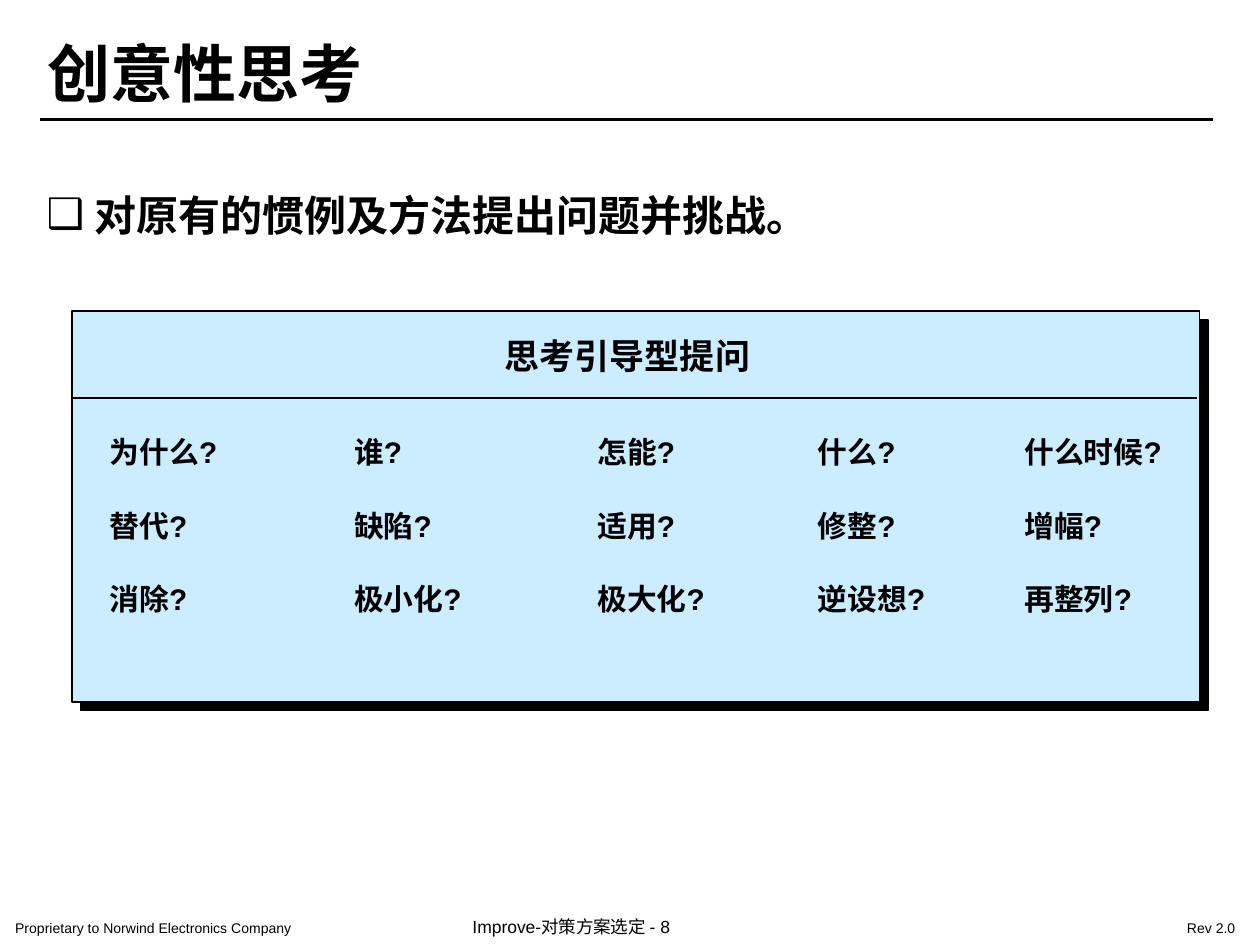
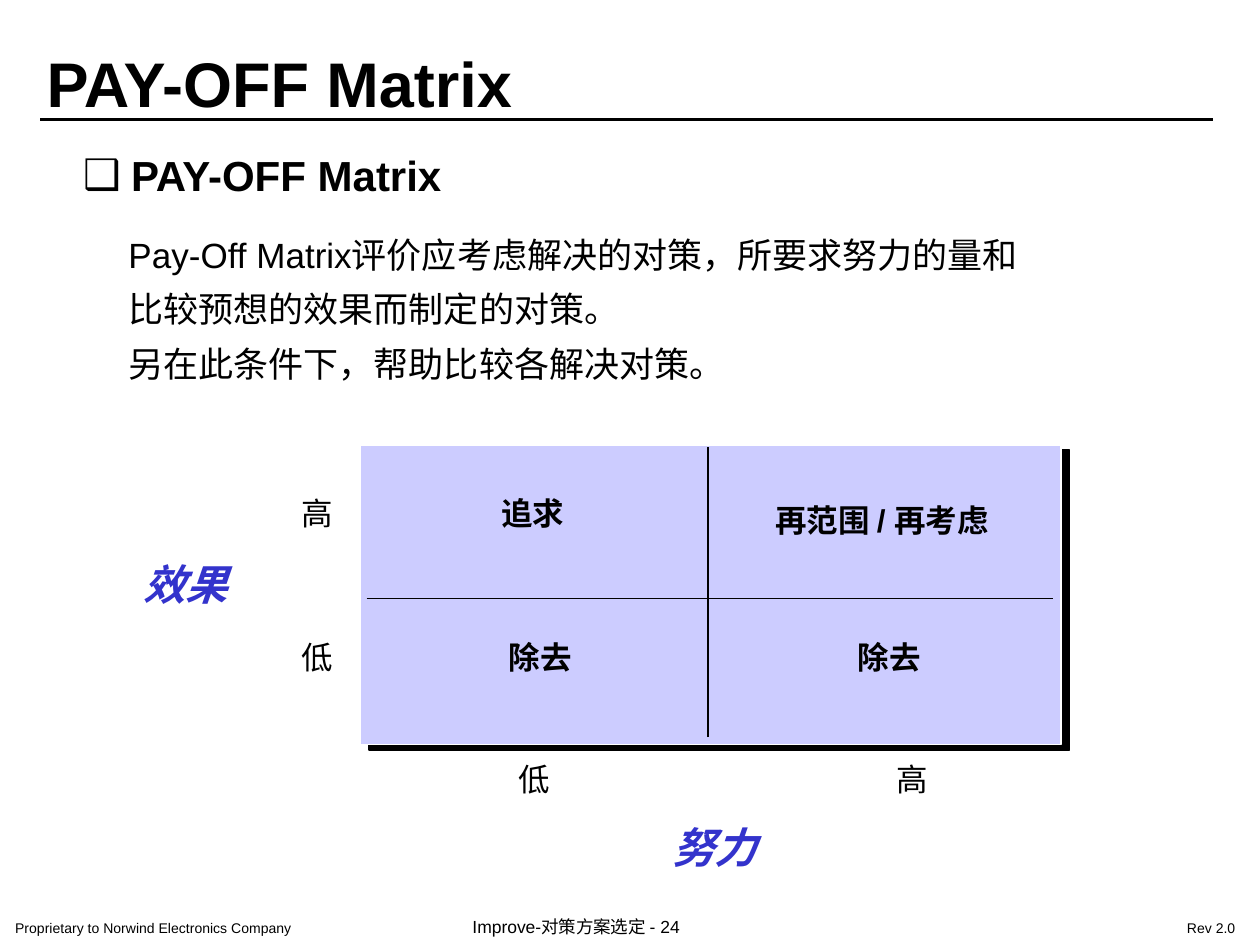
from lxml import etree
from pptx import Presentation
from pptx.dml.color import RGBColor
from pptx.enum.lang import MSO_LANGUAGE_ID as Language
from pptx.enum.shapes import MSO_CONNECTOR as Connector, MSO_SHAPE as Shape
from pptx.enum.text import MSO_ANCHOR as Anchor, MSO_AUTO_SIZE as AutoSize, PP_ALIGN as Align
from pptx.oxml.ns import qn
from pptx.util import Inches, Pt

FONT = "Arial"
BLACK, WHITE, BLUE = "000000", "FFFFFF", "3333CC"
SKY, LAVENDER = "CCECFF", "CCCCFF"
WIDTH, HEIGHT = Inches(10), Inches(7.5)
COLUMNS, ROWS = 100, 75  # page grid
TITLE_AND_CONTENT = 1
ROOMY, SNUG = (0.1, 0.05), (0.05, 0.02)  # side and top insets, inches


def color(hex_string):
    return RGBColor.from_string(hex_string)


def across(columns):
    return round(WIDTH * columns / COLUMNS)


def down(rows):
    return round(HEIGHT * rows / ROWS)


def area(left, top, width, height):
    return across(left), down(top), across(width), down(height)


# Text
def write(shape, text, size=18, hue=BLACK, bold=False, italic=False, align=Align.LEFT,
          anchor=Anchor.TOP, insets=ROOMY, wrap=True, spacing=1.0, tabs=(), bullet=None):
    frame = shape.text_frame
    frame.word_wrap = wrap
    frame.auto_size = AutoSize.NONE
    frame.vertical_anchor = anchor
    frame.margin_left = frame.margin_right = Inches(insets[0])
    frame.margin_top = frame.margin_bottom = Inches(insets[1])
    for index, line in enumerate(text.split("\n")):
        paragraph = frame.add_paragraph() if index else frame.paragraphs[0]
        paragraph.alignment = align
        paragraph.line_spacing = spacing
        paragraph.space_before = Pt(0)
        if bullet:
            add_bullet(paragraph, bullet)
        if tabs:
            add_tabs(paragraph, tabs)
        run = paragraph.add_run()
        run.text = line
        font = run.font
        font.name, font.size, font.bold, font.italic = FONT, Pt(size), bold, italic
        font.color.rgb = color(hue)
        font.language_id = Language.SIMPLIFIED_CHINESE


def add_bullet(paragraph, character, hang=3.8):
    properties = paragraph._p.get_or_add_pPr()
    properties.set("marL", str(across(hang)))
    properties.set("indent", str(-across(hang)))
    etree.SubElement(properties, qn("a:buFont"), typeface=FONT)
    etree.SubElement(properties, qn("a:buChar"), char=character)


def add_tabs(paragraph, stops):
    tab_list = etree.SubElement(paragraph._p.get_or_add_pPr(), qn("a:tabLst"))
    for stop in stops:
        etree.SubElement(tab_list, qn("a:tab"), pos=str(across(stop)), algn="l")


def add_text(slide, text, box, **style):
    write(slide.shapes.add_textbox(*area(*box)), text, **style)


def fill_placeholder(placeholder, text, box, **style):
    placeholder.left, placeholder.top, placeholder.width, placeholder.height = area(*box)
    write(placeholder, text, bold=True, **style)


# Lines and panels
def add_line(slide, start, end, weight):
    line = slide.shapes.add_connector(Connector.STRAIGHT, across(start[0]), down(start[1]),
                                      across(end[0]), down(end[1]))
    line.line.color.rgb = color(BLACK)
    line.line.width = Pt(weight)
    etree.SubElement(line._element.spPr, qn("a:effectLst"))


def add_panel(slide, box, fill, outline, distance, angle):
    panel = slide.shapes.add_shape(Shape.RECTANGLE, *area(*box))
    panel.fill.solid()
    panel.fill.fore_color.rgb = color(fill)
    panel.line.color.rgb = color(outline)
    panel.line.width = Pt(1)
    panel.shadow.inherit = False
    effects = panel._element.spPr.find(qn("a:effectLst"))
    shadow = etree.SubElement(effects, qn("a:outerShdw"), dist=str(Pt(distance)),
                              dir=str(angle * 60000), algn="ctr", rotWithShape="0")
    etree.SubElement(shadow, qn("a:srgbClr"), val=BLACK)


# Shared page: title, rule, heading and footers
def add_page(presentation, number, title, title_box, heading, heading_box, **heading_style):
    slide = presentation.slides.add_slide(presentation.slide_layouts[TITLE_AND_CONTENT])
    fill_placeholder(slide.shapes.title, title, title_box, size=36, anchor=Anchor.MIDDLE)
    fill_placeholder(slide.placeholders[1], heading, heading_box, size=24, bullet="❑",
                     **heading_style)
    add_line(slide, (3.2, 9.5), (96.3, 9.5), 1.5)
    footers = [
        ("Proprietary to Norwind Electronics Company", (0, 72.4, 32.1, 2.5), 8),
        (f"Improve-对策方案选定 - {number}", (36.3, 72.1, 24.4, 2.9), 10),
        ("Rev 2.0", (93, 72.4, 6.8, 2.5), 8),
    ]
    for text, box, size in footers:
        add_text(slide, text, box, size=size, insets=(0.12, 0.06))
    return slide


def add_creative_thinking(presentation):
    slide = add_page(presentation, 8, "创意性思考", (2.8, 2.4, 55, 6.6),
                     "对原有的惯例及方法提出问题并挑战。", (3.6, 13.9, 85.9, 5),
                     insets=(0.01, 0.01), spacing=1.25)
    add_panel(slide, (5.7, 24.7, 89.5, 31), SKY, BLACK, 7.1, 45)
    add_text(slide, "思考引导型提问", (27, 25.3, 45.6, 6.5), size=20, bold=True,
             align=Align.CENTER, anchor=Anchor.MIDDLE, insets=(0, 0.2), spacing=0.75)
    add_line(slide, (5.8, 31.6), (95, 31.6), 0.75)
    questions = [
        ("为什么?", "谁?", "怎能?", "什么?", "什么时候?"),
        ("替代?", "缺陷?", "适用?", "修整?", "增幅?"),
        ("消除?", "极小化?", "极大化?", "逆设想?", "再整列?"),
    ]
    add_text(slide, "\n".join("\t".join(row) for row in questions), (7.8, 31, 88, 18.4),
             size=17, bold=True, insets=(0.09, 0.05), spacing=2.05,
             tabs=(19.4, 38.7, 56.2, 72.6))


def add_payoff_matrix(presentation):
    slide = add_page(presentation, 24, "PAY-OFF Matrix", (2.7, 2.7, 92.5, 7.6),
                     "PAY-OFF Matrix", (5.6, 11.4, 36, 6.1))
    add_text(slide, "Pay-Off Matrix评价应考虑解决的对策，所要求努力的量和\n"
                    "比较预想的效果而制定的对策。\n"
                    "另在此条件下，帮助比较各解决对策。",
             (9.3, 17, 88.7, 13.9), size=20, insets=(0.09, 0.05), spacing=1.3)

    # Matrix with its two dividing lines
    add_panel(slide, (28.6, 35.3, 55.6, 23.8), LAVENDER, WHITE, 5.8, 31)
    add_line(slide, (29.1, 47.5), (83.6, 47.5), 1)
    add_line(slide, (56.2, 58.5), (56.2, 35.5), 1)

    # Labels are centred on a column and hang from a row
    def add_label(text, center, top, width, height=3.5, **style):
        add_text(slide, text, (center - width / 2, top, width, height),
                 align=Align.CENTER, insets=SNUG, wrap=False, **style)

    high_row, low_row, effort_row = 39, 50.4, 60.1
    for text, center, top in [("高", 25.2, high_row), ("低", 25.2, low_row),
                              ("低", 42.4, effort_row), ("高", 72.4, effort_row)]:
        add_label(text, center, top, 3.4)
    for text, center, top, width in [("追求", 42.3, high_row, 9.6),
                                     ("再范围 / 再考虑", 70, high_row + 0.6, 19.2),
                                     ("除去", 42.9, low_row, 10.6),
                                     ("除去", 70.6, low_row, 10.6)]:
        add_label(text, center, top, width, bold=True)
    for axis, center, top in [("效果", 14.7, 44.1), ("努力", 56.7, 65)]:
        add_label(axis, center, top, 7.6, 4.5, size=24, hue=BLUE, bold=True, italic=True)


def main():
    presentation = Presentation()
    presentation.slide_width, presentation.slide_height = WIDTH, HEIGHT
    add_creative_thinking(presentation)
    add_payoff_matrix(presentation)
    presentation.save("out.pptx")


if __name__ == "__main__":
    main()
